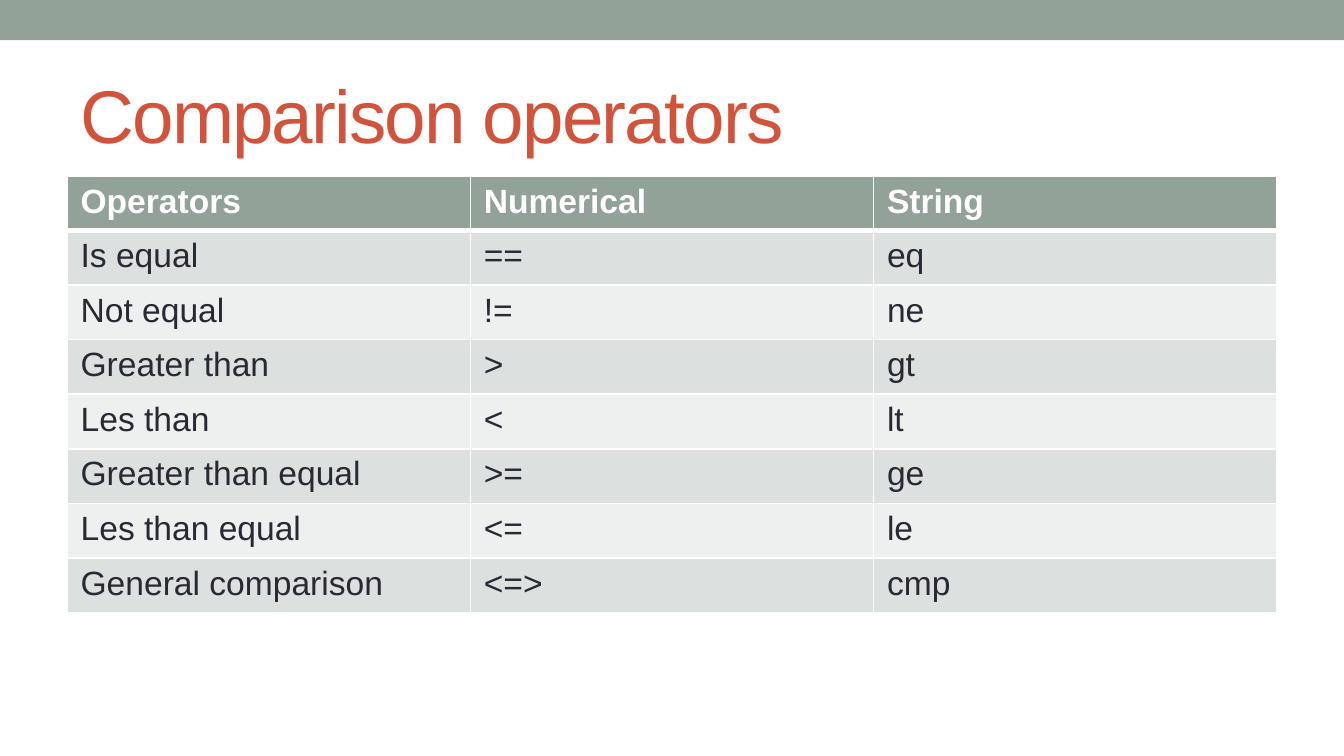
from dataclasses import dataclass

from lxml import etree
from pptx import Presentation
from pptx.dml.color import RGBColor
from pptx.enum.shapes import MSO_SHAPE
from pptx.enum.text import MSO_ANCHOR
from pptx.oxml.ns import qn
from pptx.util import Inches, Pt

RECTANGLE = MSO_SHAPE.RECTANGLE
MIDDLE = MSO_ANCHOR.MIDDLE
BLANK_LAYOUT = 6


@dataclass(frozen=True)
class Theme:
    font: str = "Arial"
    sage: str = "93A299"
    title: str = "D2533C"
    ink: str = "292934"
    white: str = "FFFFFF"
    bands: tuple = ("DCE0DE", "EEF0EF")
    title_size: int = 40
    table_size: int = 18
    rule: int = 1
    header_rule: int = 3


THEME = Theme()

OPERATORS = [
    ("Operators", "Numerical", "String"),
    ("Is equal", "==", "eq"),
    ("Not equal", "!=", "ne"),
    ("Greater than", ">", "gt"),
    ("Les than", "<", "lt"),
    ("Greater than equal", ">=", "ge"),
    ("Les than equal", "<=", "le"),
    ("General comparison", "<=>", "cmp"),
]


def style_font(font, size, color, bold=False):
    font.name = THEME.font
    font.size = Pt(size)
    font.bold = bold
    font.color.rgb = RGBColor.from_string(color)


def fill_solid(target, color):
    target.fill.solid()
    target.fill.fore_color.rgb = RGBColor.from_string(color)


def add_band(slide, left, top, width, height):
    band = slide.shapes.add_shape(
        RECTANGLE, Inches(left), Inches(top), Inches(width), Inches(height))
    band.shadow.inherit = False
    fill_solid(band, THEME.sage)
    band.line.fill.background()


def add_title(slide, text, left, top, width, height):
    title = slide.shapes.add_textbox(
        Inches(left), Inches(top), Inches(width), Inches(height))
    frame = title.text_frame
    frame.word_wrap = True
    frame.vertical_anchor = MIDDLE
    heading = frame.paragraphs[0]
    run = heading.add_run()
    run.text = text
    style_font(heading.font, THEME.title_size, THEME.title)
    # Letter spacing, in hundredths of a point
    run.font._element.set("spc", "-100")


def set_borders(cell, top, bottom):
    """Draw the white cell rules; they precede the fill in the cell's XML."""
    properties = cell._tc.get_or_add_tcPr()
    widths = {"a:lnL": THEME.rule, "a:lnR": THEME.rule,
              "a:lnT": top, "a:lnB": bottom}
    for position, (side, width) in enumerate(widths.items()):
        line = etree.Element(qn(side), w=str(Pt(width)))
        solid = etree.SubElement(line, qn("a:solidFill"))
        etree.SubElement(solid, qn("a:srgbClr"), val=THEME.white)
        properties.insert(position, line)


def add_operator_table(slide, rows, left, top, width, height):
    table = slide.shapes.add_table(
        len(rows), len(rows[0]),
        Inches(left), Inches(top), Inches(width), Inches(height)).table
    for row_index, row in enumerate(rows):
        header = row_index == 0
        background = THEME.sage if header else THEME.bands[(row_index - 1) % 2]
        color = THEME.white if header else THEME.ink
        # The thick rule is shared by the header and the first body row
        top_rule = THEME.header_rule if row_index == 1 else THEME.rule
        bottom_rule = THEME.header_rule if header else THEME.rule
        for column_index, text in enumerate(row):
            cell = table.cell(row_index, column_index)
            cell.text = text
            style_font(cell.text_frame.paragraphs[0].font,
                       THEME.table_size, color, bold=header)
            fill_solid(cell, background)
            set_borders(cell, top_rule, bottom_rule)


def main():
    presentation = Presentation()
    # Widescreen, 16:9
    presentation.slide_width = Inches(10)
    presentation.slide_height = Inches(10 * 9 / 16)
    slide = presentation.slides.add_slide(
        presentation.slide_layouts[BLANK_LAYOUT])

    # Top band
    add_band(slide, 0, 0, 10, 0.3)
    # Title
    add_title(slide, "Comparison operators", 0.5, 0.44, 9, 0.81)
    # Operator table
    add_operator_table(slide, OPERATORS, 0.5, 1.31, 9, 3.25)

    presentation.save("out.pptx")


if __name__ == "__main__":
    main()
